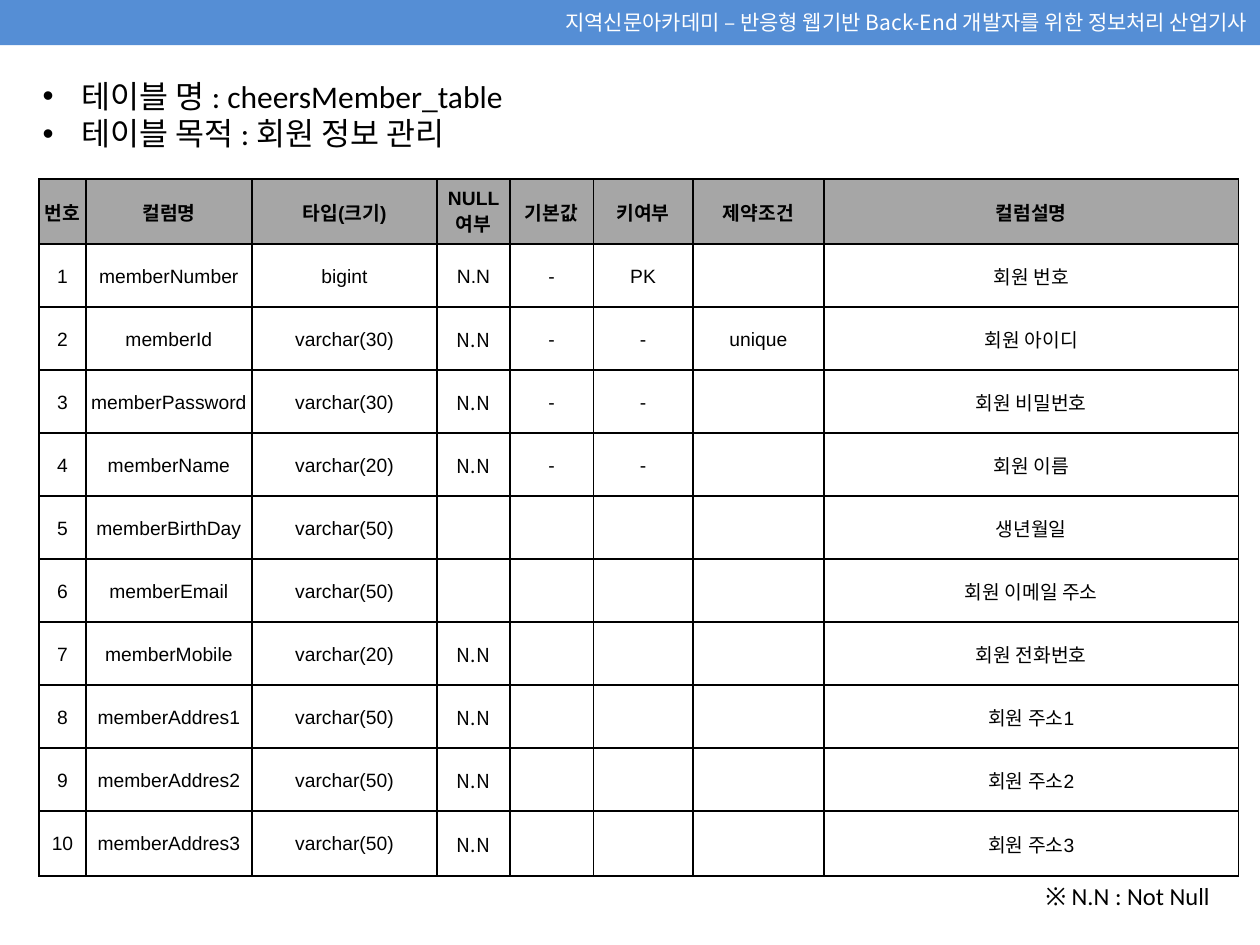
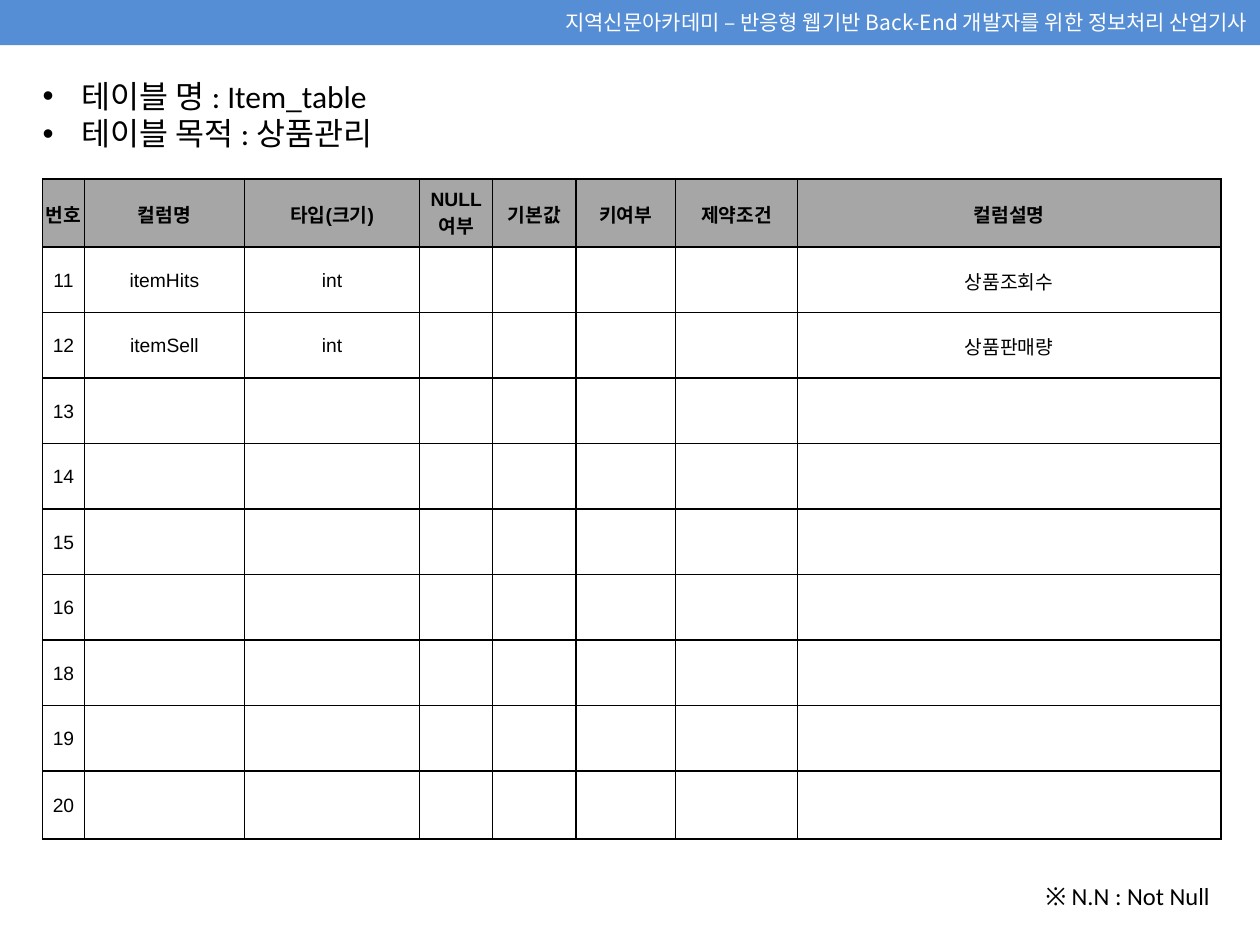
from lxml.etree import SubElement
from pptx import Presentation
from pptx.dml.color import RGBColor
from pptx.enum.shapes import MSO_SHAPE as Preset
from pptx.enum.text import MSO_ANCHOR as Anchor, MSO_AUTO_SIZE as AutoSize, PP_ALIGN as Align
from pptx.oxml.ns import qn
from pptx.util import Cm, Pt

BAND_BLUE = RGBColor(0x55, 0x8E, 0xD5)
HEADER_GREY = RGBColor(0xA6, 0xA6, 0xA6)
WHITE = RGBColor(0xFF, 0xFF, 0xFF)
BLACK = RGBColor(0x00, 0x00, 0x00)

KOREAN_FONT = "Noto Sans CJK KR"
BAND_TEXT = {"name": KOREAN_FONT, "size": Pt(12), "color": WHITE}
HEADING_TEXT = {"name": "Calibri", "size": Pt(18), "color": BLACK}
NOTE_TEXT = {"name": "Calibri", "size": Pt(14), "color": BLACK}
CELL_TEXT = {"name": "Arial", "size": Pt(11), "color": BLACK}
CELL_FORMAT = {
    "margin_left": Cm(0.03), "margin_right": Cm(0.03), "margin_top": Cm(0.03),
    "margin_bottom": 0, "vertical_anchor": Anchor.MIDDLE,
}

BAND_TITLE = "지역신문아카데미 – 반응형 웹기반 Back-End 개발자를 위한 정보처리 산업기사"
HEADERS = ["번호", "컬럼명", "타입(크기)", "NULL 여부", "기본값", "키여부", "제약조건", "컬럼설명"]
NULL_COLUMN = HEADERS.index("NULL 여부")

MEMBER_TABLE = {
    "name": "cheersMember_table",
    "purpose": "회원 정보 관리",
    "left": 0.79,
    "widths": [0.94, 3.35, 3.73, 1.47, 1.68, 2.01, 2.64, 8.36],
    "edge_height": 1.31,
    "row_height": 1.27,
    "rows": [
        ["1", "memberNumber", "bigint", "N.N", "-", "PK", "", "회원 번호"],
        ["2", "memberId", "varchar(30)", "N.N", "-", "-", "unique", "회원 아이디"],
        ["3", "memberPassword", "varchar(30)", "N.N", "-", "-", "", "회원 비밀번호"],
        ["4", "memberName", "varchar(20)", "N.N", "-", "-", "", "회원 이름"],
        ["5", "memberBirthDay", "varchar(50)", "", "", "", "", "생년월일"],
        ["6", "memberEmail", "varchar(50)", "", "", "", "", "회원 이메일 주소"],
        ["7", "memberMobile", "varchar(20)", "N.N", "", "", "", "회원 전화번호"],
        ["8", "memberAddres1", "varchar(50)", "N.N", "", "", "", "회원 주소1"],
        ["9", "memberAddres2", "varchar(50)", "N.N", "", "", "", "회원 주소2"],
        ["10", "memberAddres3", "varchar(50)", "N.N", "", "", "", "회원 주소3"],
    ],
}
ITEM_TABLE = {
    "name": "Item_table",
    "purpose": "상품관리",
    "left": 0.86,
    "widths": [0.84, 3.23, 3.53, 1.47, 1.68, 2.01, 2.46, 8.53],
    "edge_height": 1.37,
    "row_height": 1.32,
    "rows": [
        ["11", "itemHits", "int", "", "", "", "", "상품조회수"],
        ["12", "itemSell", "int", "", "", "", "", "상품판매량"],
        *([number] + [""] * 7 for number in ("13", "14", "15", "16", "18", "19", "20")),
    ],
}


def apply_format(target, values):
    for name, value in values.items():
        setattr(target, name, value)


def write_text(paragraph, text, style, align=Align.LEFT):
    paragraph.alignment = align
    run = paragraph.add_run()
    run.text = text
    font = run.font
    apply_format(font, {name: value for name, value in style.items() if name != "color"})
    font.color.rgb = style["color"]
    SubElement(run.element if hasattr(run, "element") else run._r.rPr, qn("a:ea")).set("typeface", KOREAN_FONT)


def add_band(slide, width):
    band = slide.shapes.add_shape(Preset.RECTANGLE, 0, 0, width, Cm(0.91))
    band.shadow.inherit = False
    band.fill.solid()
    band.fill.fore_color.rgb = BAND_BLUE
    band.line.fill.background()
    band.text_frame.vertical_anchor = Anchor.MIDDLE
    write_text(band.text_frame.paragraphs[0], BAND_TITLE, BAND_TEXT, Align.RIGHT)
    return band


def add_text_frame(slide, left, top, width, height):
    frame = slide.shapes.add_textbox(Cm(left), Cm(top), Cm(width), Cm(height)).text_frame
    apply_format(frame, {"word_wrap": True, "auto_size": AutoSize.SHAPE_TO_FIT_TEXT})
    return frame


def add_bullet(paragraph):
    properties = paragraph._p.get_or_add_pPr()
    properties.set("marL", str(Cm(0.79)))
    properties.set("indent", str(-Cm(0.79)))
    SubElement(properties, qn("a:buFont")).set("typeface", "Arial")
    SubElement(properties, qn("a:buChar")).set("char", "•")


def add_heading(slide, name, purpose):
    frame = add_text_frame(slide, 0.61, 1.42, 24.1, 1.8)
    lines = [f"테이블 명 : {name}", f"테이블 목적 : {purpose}"]
    for paragraph, line in zip([frame.paragraphs[0], frame.add_paragraph()], lines):
        write_text(paragraph, line, HEADING_TEXT)
        add_bullet(paragraph)


def add_borders(cell):
    properties = cell._tc.get_or_add_tcPr()
    for side in ("a:lnL", "a:lnR", "a:lnT", "a:lnB"):
        border = SubElement(properties, qn(side), w=str(Pt(1)))
        fill = SubElement(border, qn("a:solidFill"))
        SubElement(fill, qn("a:srgbClr")).set("val", str(BLACK))


def format_cell(cell, text, row, column):
    apply_format(cell, CELL_FORMAT)
    add_borders(cell)
    if row == 0:
        cell.fill.solid()
        cell.fill.fore_color.rgb = HEADER_GREY
    else:
        cell.fill.background()
    if text:
        name = KOREAN_FONT if column == NULL_COLUMN and row > 1 else CELL_TEXT["name"]
        style = {**CELL_TEXT, "name": name, "bold": row == 0}
        write_text(cell.text_frame.paragraphs[0], text, style, Align.CENTER)


def add_definition_table(slide, content):
    rows = [HEADERS, *content["rows"]]
    edge = content["edge_height"]
    heights = [edge, *[content["row_height"]] * (len(rows) - 2), edge]
    widths = content["widths"]
    table = slide.shapes.add_table(
        len(rows), len(widths), Cm(content["left"]), Cm(3.61), Cm(sum(widths)), Cm(sum(heights))
    ).table
    apply_format(table, {"first_row": False, "horz_banding": False})
    for column, width in zip(table.columns, widths):
        column.width = Cm(width)
    for row, height in zip(table.rows, heights):
        row.height = Cm(height)
    for row, texts in enumerate(rows):
        for column, text in enumerate(texts):
            format_cell(table.cell(row, column), text, row, column)


def add_note(slide):
    frame = add_text_frame(slide, 20.7, 17.63, 3.94, 0.86)
    write_text(frame.paragraphs[0], "※ N.N : Not Null", NOTE_TEXT, Align.RIGHT)


def add_definition_slide(presentation, layout, content):
    slide = presentation.slides.add_slide(layout)
    add_heading(slide, content["name"], content["purpose"])
    add_definition_table(slide, content)
    add_note(slide)
    return slide


def main():
    presentation = Presentation()
    apply_format(presentation, {"slide_width": Cm(25.4), "slide_height": Cm(19.05)})
    layout = presentation.slide_layouts.get_by_name("Blank")
    slides = [add_definition_slide(presentation, layout, content) for content in (MEMBER_TABLE, ITEM_TABLE)]
    band = add_band(slides[0], presentation.slide_width)
    layout.shapes.element.append(band.element)
    presentation.save("out.pptx")


main()
